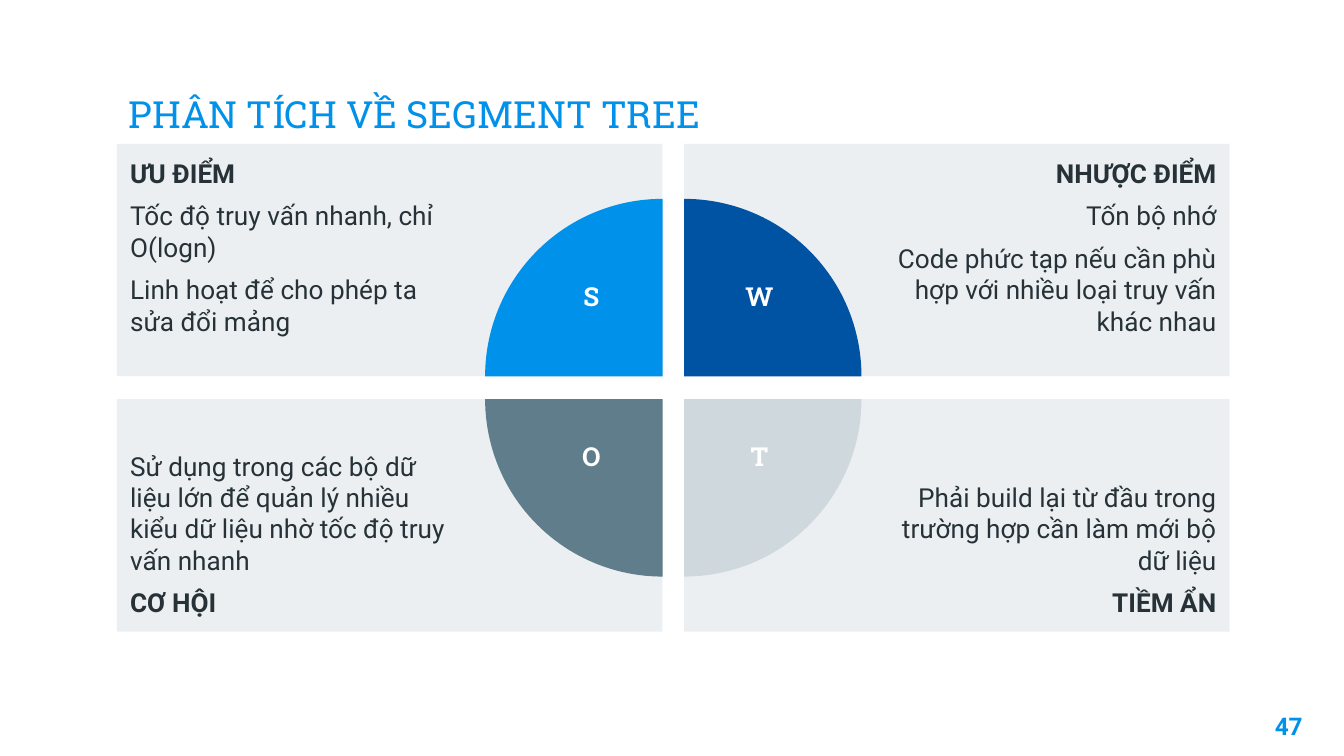
from dataclasses import dataclass

from pptx import Presentation
from pptx.dml.color import RGBColor
from pptx.enum.shapes import MSO_SHAPE
from pptx.enum.text import MSO_ANCHOR, PP_ALIGN
from pptx.util import Inches, Pt

RECT, PIE = MSO_SHAPE.RECTANGLE, MSO_SHAPE.PIE
TOP, BOTTOM = MSO_ANCHOR.TOP, MSO_ANCHOR.BOTTOM
LEFT, CENTER, RIGHT = PP_ALIGN.LEFT, PP_ALIGN.CENTER, PP_ALIGN.RIGHT


@dataclass(frozen=True)
class Theme:
    body: str = "Roboto"
    head: str = "Roboto Slab"
    blue: str = "0091EA"
    navy: str = "0053A3"
    slate: str = "607D8B"
    mist: str = "CFD8DC"
    panel: str = "ECEFF1"
    ink: str = "263238"
    white: str = "FFFFFF"
    title: int = 20
    text: int = 14
    page: int = 13


@dataclass(frozen=True)
class Quad:
    col: int
    row: int
    letter: str
    color: str
    turn: int
    head: str
    lines: tuple[str, ...]


THEME = Theme()

# Slide and panel grid, in inches
PAGE_W = 10
PAGE_H = PAGE_W * 9 / 16
WIDE, HIGH = 4.06, 1.73
LEFTS, TOPS = (0.87, 5.09), (1.07, 2.97)
PAD, INNER = 0.1, 1.5
RADIUS = 1.32
SHIFT_X, SHIFT_Y = (-0.53, 0.56), (-0.52, 0.5)
TAG_W, TAG_H = 0.7, 0.48

QUADS = (
    Quad(0, 0, "S", THEME.blue, 0, "ƯU ĐIỂM",
         ("Tốc độ truy vấn nhanh, chỉ O(logn)",
          "Linh hoạt để cho phép ta sửa đổi mảng")),
    Quad(1, 0, "W", THEME.navy, 90, "NHƯỢC ĐIỂM",
         ("Tốn bộ nhớ",
          "Code phức tạp nếu cần phù hợp với nhiều loại truy vấn khác nhau")),
    Quad(1, 1, "T", THEME.mist, 180, "TIỀM ẨN",
         ("Phải build lại từ đầu trong trường hợp cần làm mới bộ dữ liệu",)),
    Quad(0, 1, "O", THEME.slate, 270, "CƠ HỘI",
         ("Sử dụng trong các bộ dữ liệu lớn để quản lý nhiều kiểu dữ liệu "
          "nhờ tốc độ truy vấn nhanh",)),
)


def style(para, font: str, size: int, color: str, bold: bool, align) -> None:
    para.alignment = align
    for run in para.runs:
        run.font.name = font
        run.font.size = Pt(size)
        run.font.bold = bold
        run.font.color.rgb = RGBColor.from_string(color)


def inset(frame, left: float, top: float, right: float, low: float) -> None:
    frame.word_wrap = True
    frame.margin_left, frame.margin_top = Inches(left), Inches(top)
    frame.margin_right, frame.margin_bottom = Inches(right), Inches(low)


def add_label(slide, box: tuple[float, ...], text: str, font: str, size: int,
              color: str, bold: bool, align, anchor=TOP, pad: float = PAD) -> None:
    frame = slide.shapes.add_textbox(*map(Inches, box)).text_frame
    inset(frame, PAD, pad, PAD, pad)
    frame.vertical_anchor = anchor
    frame.text = text
    style(frame.paragraphs[0], font, size, color, bold, align)


def add_solid(slide, kind, box: tuple[float, ...], color: str):
    shape = slide.shapes.add_shape(kind, *map(Inches, box))
    shape.shadow.inherit = False
    shape.fill.solid()
    shape.fill.fore_color.rgb = RGBColor.from_string(color)
    shape.line.fill.background()
    return shape


def add_panel(slide, quad: Quad) -> None:
    box = (LEFTS[quad.col], TOPS[quad.row], WIDE, HIGH)
    frame = add_solid(slide, RECT, box, THEME.panel).text_frame
    sides = (INNER, PAD) if quad.col else (PAD, INNER)
    inset(frame, sides[0], PAD, sides[1], PAD)
    frame.vertical_anchor = BOTTOM if quad.row else TOP

    # The heading sits on the outer edge: first above, last below
    texts = (*quad.lines, quad.head) if quad.row else (quad.head, *quad.lines)
    frame.text = "\n".join(texts)
    for index, para in enumerate(frame.paragraphs):
        style(para, THEME.body, THEME.text, THEME.ink,
              texts[index] == quad.head, RIGHT if quad.col else LEFT)
        para.space_before = Pt(6 if index else 0)
    if quad.row:
        frame.paragraphs[-1].space_after = Pt(6)


def corner(quad: Quad) -> tuple[float, float]:
    """Inner corner of a panel, where its quarter disc is centred."""
    return (LEFTS[quad.col] + WIDE * (1 - quad.col),
            TOPS[quad.row] + HIGH * (1 - quad.row))


def add_disc(slide, quad: Quad) -> None:
    x, y = corner(quad)
    box = (x - RADIUS, y - RADIUS, 2 * RADIUS, 2 * RADIUS)
    shape = add_solid(slide, PIE, box, quad.color)
    shape.adjustments[0], shape.adjustments[1] = 108, 162
    shape.rotation = quad.turn


def add_letter(slide, quad: Quad) -> None:
    x, y = corner(quad)
    box = (x + SHIFT_X[quad.col] - TAG_W / 2,
           y + SHIFT_Y[quad.row] - TAG_H / 2, TAG_W, TAG_H)
    add_label(slide, box, quad.letter, THEME.head, THEME.text, THEME.white,
              True, CENTER, pad=0.05)


def main() -> None:
    deck = Presentation()
    deck.slide_width, deck.slide_height = Inches(PAGE_W), Inches(PAGE_H)
    slide = deck.slides.add_slide(deck.slide_layouts[6])

    # Title and page number
    add_label(slide, (0.86, 0.34, 8.28, 0.77), "PHÂN TÍCH VỀ SEGMENT TREE",
              THEME.head, THEME.title, THEME.blue, False, LEFT, BOTTOM)
    add_label(slide, (9.19, 5.19, 0.6, 0.43), "47",
              THEME.body, THEME.page, THEME.blue, True, RIGHT)

    # Panels at the back, then discs, then letters
    for draw in (add_panel, add_disc, add_letter):
        for quad in QUADS:
            draw(slide, quad)

    deck.save("out.pptx")


if __name__ == "__main__":
    main()
